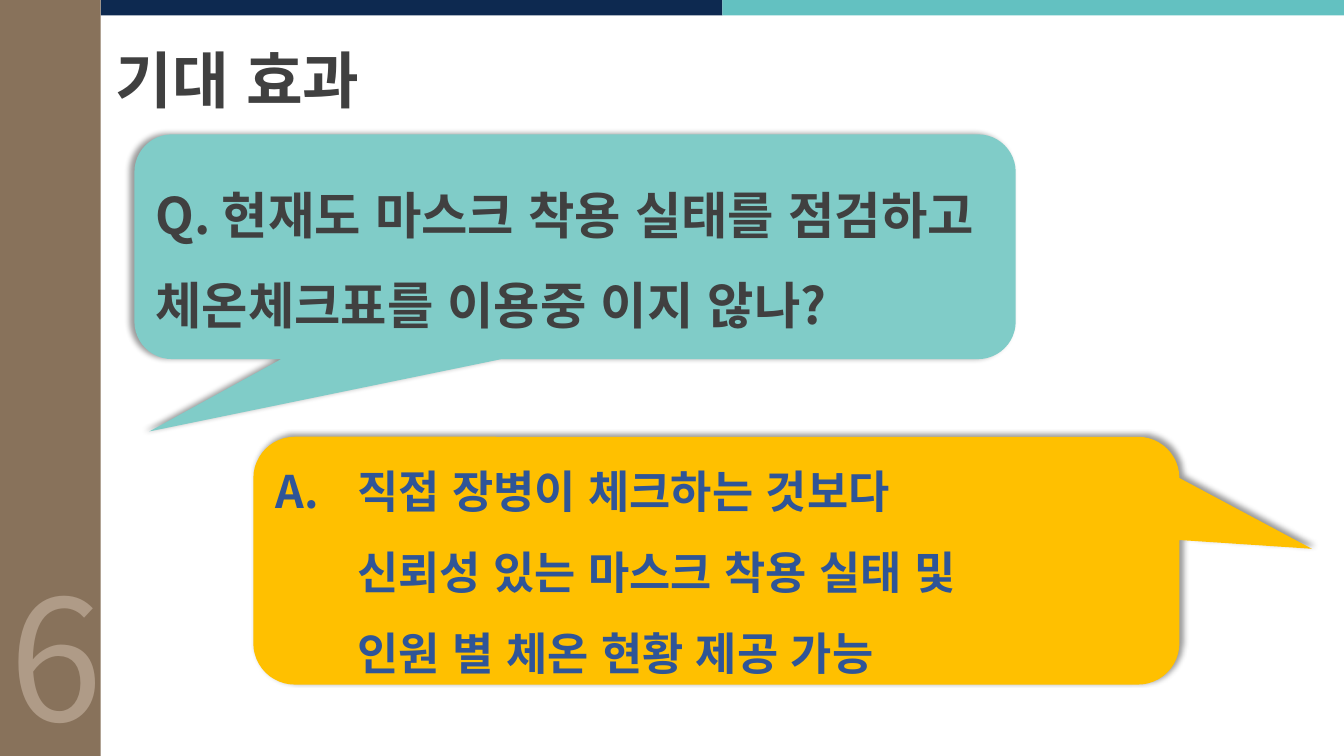
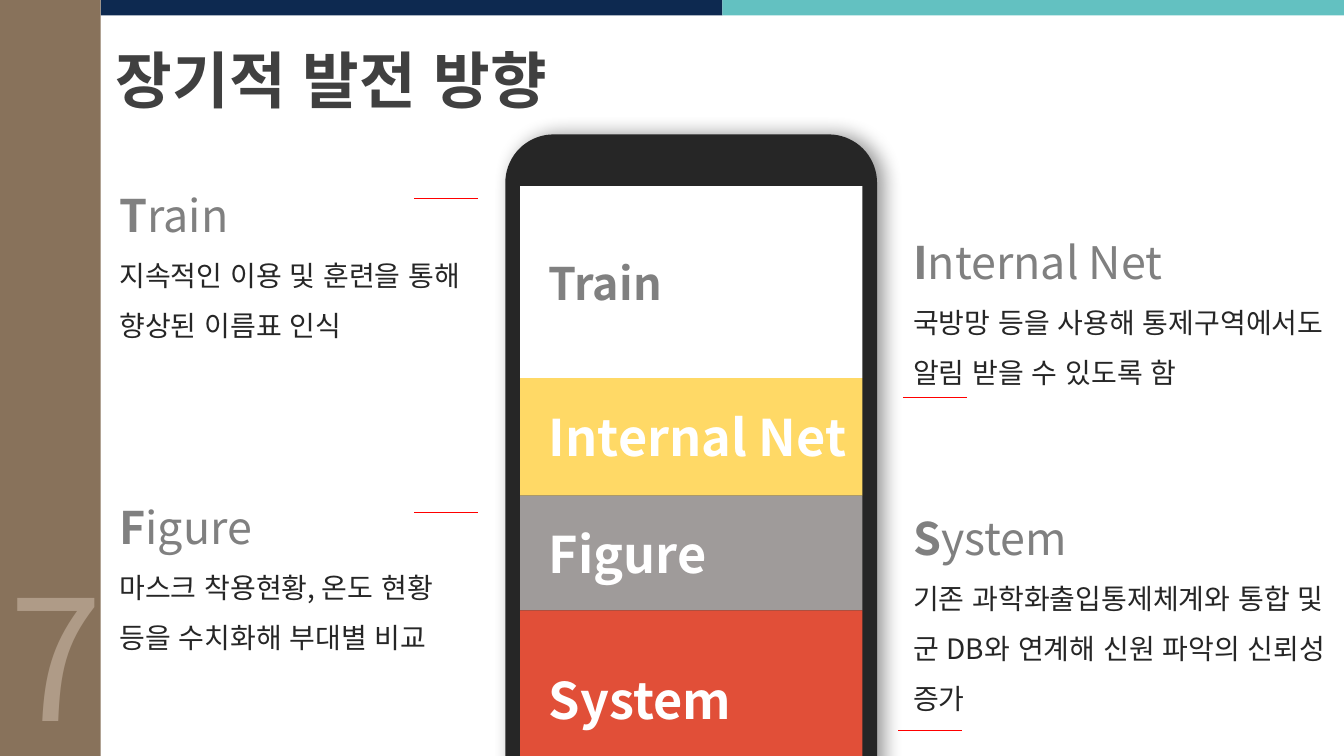
import math
from dataclasses import dataclass
from typing import Optional

from lxml import etree
from pptx import Presentation
from pptx.dml.color import RGBColor
from pptx.enum import lang, shapes, text
from pptx.oxml import ns
from pptx.util import Pt


@dataclass(frozen=True)
class Theme:
    font: str = "Noto Sans CJK KR"
    rail: str = "88725B"
    rail_number: str = "AF9B87"
    navy: str = "0D2950"
    teal: str = "63C1C1"
    pale_teal: str = "80CCC8"
    amber: str = "FFC000"
    blue: str = "2F5597"
    title: str = "404040"
    dark: str = "262626"
    grey: str = "808080"
    white: str = "FFFFFF"
    yellow: str = "FFD966"
    warm_grey: str = "9F9B9A"
    brick: str = "E14F38"
    red: str = "FF0000"
    number_size: int = 120
    title_size: int = 44
    question_size: int = 36
    heading_size: int = 32
    body_size: int = 20
    line_spacing: float = 1.5


THEME = Theme()
SLIDE_WIDTH, SLIDE_HEIGHT = 960, 540
RAIL_WIDTH = 72
TITLE_ONLY, COMPARISON = 5, 4


@dataclass(frozen=True)
class Box:
    left: float
    top: float
    width: float
    height: float

    def lengths(self) -> tuple:
        return Pt(self.left), Pt(self.top), Pt(self.width), Pt(self.height)


@dataclass(frozen=True)
class Style:
    size: int
    color: str
    bold: bool = False


@dataclass(frozen=True)
class Shadow:
    blur: float
    distance: float
    angle: int


@dataclass(frozen=True)
class Callout:
    box: Box
    fill: str
    adjustments: tuple
    shadow: Shadow
    lines: tuple
    style: Style
    hanging: float = 0


@dataclass(frozen=True)
class Panel:
    label: str
    top: float
    bottom: float
    fill: str
    style: Style


@dataclass(frozen=True)
class Note:
    heading: str
    body: str
    box: Box


@dataclass(frozen=True)
class Rule:
    left: float
    top: float


WHITE_LABEL = Style(36, THEME.white, True)

CALLOUTS = (
    Callout(Box(181, 312, 661.5, 177), THEME.amber, (0.643, -0.048, 0.167),
            Shadow(4, 3, 315),
            ("직접 장병이 체크하는 것보다", "신뢰성 있는 마스크 착용 실태 및",
             "인원 별 체온 현황 제공 가능"),
            Style(THEME.heading_size, THEME.blue, True), hanging=58.5),
    Callout(Box(96, 96, 629.5, 160.5), THEME.pale_teal, (-0.483, 0.822, 0.167),
            Shadow(4, 3, 180),
            ("Q. 현재도 마스크 착용 실태를 점검하고 체온체크표를 이용중 이지 않나?",),
            Style(THEME.question_size, THEME.title, True)),
)

PHONE = Box(361, 96, 265.5, 466.5)
PHONE_RADIUS = 34.5
PHONE_BEZEL = 10.5
PANELS = (
    Panel("Train", 133, 270, THEME.white,
          Style(THEME.heading_size, THEME.grey, True)),
    Panel("Internal Net", 270, 354, THEME.yellow, WHITE_LABEL),
    Panel("Figure", 354, 436, THEME.warm_grey, WHITE_LABEL),
    Panel("System", 436, 562.5, THEME.brick, WHITE_LABEL),
)
NOTES = (
    Note("Train", "지속적인 이용 및 훈련을 통해 향상된 이름표 인식",
         Box(78, 130.5, 263.5, 114)),
    Note("Internal Net", "국방망 등을 사용해 통제구역에서도 알림 받을 수 있도록 함",
         Box(645, 164, 314, 114)),
    Note("Figure", "마스크 착용현황, 온도 현황 등을 수치화해 부대별 비교",
         Box(78, 353.5, 272, 114)),
    Note("System", "기존 과학화출입통제체계와 통합 및 군 DB와 연계해 신원 파악의 신뢰성 증가",
         Box(645, 361, 314, 150.5)),
)
RULE_WIDTH = 45.5
RULES = (Rule(645, 283.5), Rule(641.5, 522), Rule(296, 366), Rule(296, 141.5))


def rgb(color: str) -> RGBColor:
    return RGBColor.from_string(color)


def add_run(paragraph, content: str, style: Style) -> None:
    run = paragraph.add_run()
    run.text = content
    font = run.font
    font.name, font.size, font.bold = THEME.font, Pt(style.size), style.bold
    font.color.rgb = rgb(style.color)
    font.language_id = lang.MSO_LANGUAGE_ID.KOREAN
    east_asian = etree.SubElement(run._r.get_or_add_rPr(), ns.qn("a:ea"))
    east_asian.set("typeface", THEME.font)


def format_paragraph(paragraph, spacing: float = 1, left: float = 0,
                     lettered: bool = False) -> None:
    """Set indent and line spacing; a lettered paragraph hangs by its indent."""
    properties = paragraph._p.get_or_add_pPr()
    properties.set("marL", str(Pt(left)))
    properties.set("indent", str(Pt(-left if lettered else 0)))
    if lettered:
        bullet_font = etree.SubElement(properties, ns.qn("a:buFont"))
        bullet_font.set("typeface", THEME.font)
        bullet = etree.SubElement(properties, ns.qn("a:buAutoNum"))
        bullet.set("type", "alphaUcPeriod")
    else:
        etree.SubElement(properties, ns.qn("a:buNone"))
    paragraph.alignment = text.PP_ALIGN.LEFT
    paragraph.line_spacing = spacing
    paragraph.space_before = Pt(0)


def prepare_frame(shape, anchor):
    frame = shape.text_frame
    frame.word_wrap = True
    frame.auto_size = text.MSO_AUTO_SIZE.NONE
    frame.vertical_anchor = anchor
    return frame


def place(shape, box: Box) -> None:
    shape.left, shape.top, shape.width, shape.height = box.lengths()


def paint(shape, fill: str) -> None:
    shape.shadow.inherit = False
    shape.fill.solid()
    shape.fill.fore_color.rgb = rgb(fill)
    shape.line.fill.background()


def add_block(slide, box: Box, fill: str,
              kind=shapes.MSO_SHAPE.RECTANGLE):
    shape = slide.shapes.add_shape(kind, *box.lengths())
    paint(shape, fill)
    return shape


def cast_shadow(shape, shadow: Shadow) -> None:
    effects = shape._element.spPr.find(ns.qn("a:effectLst"))
    outer = etree.SubElement(effects, ns.qn("a:outerShdw"))
    outer.set("blurRad", str(Pt(shadow.blur)))
    outer.set("dist", str(Pt(shadow.distance)))
    outer.set("dir", str(shadow.angle * 60000))
    outer.set("algn", "ctr")
    outer.set("rotWithShape", "0")
    color = etree.SubElement(outer, ns.qn("a:srgbClr"))
    color.set("val", "000000")
    etree.SubElement(color, ns.qn("a:alpha")).set("val", "40000")


def add_base_slide(presentation, layout: int, number: int, title: str):
    """Add a slide with the numbered rail, the top bands and the title."""
    slide = presentation.slides.add_slide(presentation.slide_layouts[layout])
    rail = add_block(slide, Box(0, -6, RAIL_WIDTH, 549), THEME.rail)
    paragraph = prepare_frame(rail, text.MSO_ANCHOR.BOTTOM).paragraphs[0]
    paragraph.alignment = text.PP_ALIGN.RIGHT
    add_run(paragraph, str(number), Style(THEME.number_size, THEME.rail_number))

    band_width = (SLIDE_WIDTH - RAIL_WIDTH) / 2
    for index, color in enumerate((THEME.navy, THEME.teal)):
        add_block(slide, Box(RAIL_WIDTH + index * band_width, 0, band_width, 11),
                  color)

    place(slide.shapes.title, Box(75.5, 0, 432, 79))
    frame = prepare_frame(slide.shapes.title, text.MSO_ANCHOR.TOP)
    format_paragraph(frame.paragraphs[0], THEME.line_spacing)
    add_run(frame.paragraphs[0], title, Style(THEME.title_size, THEME.title, True))
    return slide


def add_callout(slide, callout: Callout) -> None:
    shape = add_block(slide, callout.box, callout.fill,
                      shapes.MSO_SHAPE.ROUNDED_RECTANGULAR_CALLOUT)
    for index, value in enumerate(callout.adjustments):
        shape.adjustments[index] = value
    cast_shadow(shape, callout.shadow)
    frame = prepare_frame(shape, text.MSO_ANCHOR.MIDDLE)
    frame.margin_top, frame.margin_bottom = Pt(0), Pt(3.6)
    paragraph = frame.paragraphs[0]
    format_paragraph(paragraph, THEME.line_spacing, callout.hanging,
                     lettered=callout.hanging > 0)
    for index, line in enumerate(callout.lines):
        if index:
            paragraph.add_line_break()
        add_run(paragraph, line, callout.style)


def add_phone(slide) -> None:
    """Draw the body with round top corners, then its screen panels."""
    right, bottom = PHONE.left + PHONE.width, PHONE.top + PHONE.height
    corners = ((PHONE.left + PHONE_RADIUS, 180), (right - PHONE_RADIUS, 270))
    arc = [(center + PHONE_RADIUS * math.cos(math.radians(start + step)),
            PHONE.top + PHONE_RADIUS * (1 + math.sin(math.radians(start + step))))
           for center, start in corners for step in range(0, 91, 5)]
    builder = slide.shapes.build_freeform(Pt(PHONE.left), Pt(bottom))
    builder.add_line_segments([(Pt(x), Pt(y)) for x, y in arc + [(right, bottom)]])
    body = builder.convert_to_shape()
    paint(body, THEME.dark)
    cast_shadow(body, Shadow(14, 5, 0))

    for panel in PANELS:
        box = Box(PHONE.left + PHONE_BEZEL, panel.top,
                  PHONE.width - 2 * PHONE_BEZEL, panel.bottom - panel.top)
        shape = add_block(slide, box, panel.fill)
        paragraph = prepare_frame(shape, text.MSO_ANCHOR.MIDDLE).paragraphs[0]
        format_paragraph(paragraph, left=13.5)
        add_run(paragraph, panel.label, panel.style)


def fill_note(placeholder, note: Note) -> None:
    place(placeholder, note.box)
    frame = prepare_frame(placeholder, text.MSO_ANCHOR.TOP)
    heading, body = frame.paragraphs[0], frame.add_paragraph()
    format_paragraph(heading)
    for content, bold in ((note.heading[0], True), (note.heading[1:], False)):
        add_run(heading, content, Style(THEME.heading_size, THEME.grey, bold))
    format_paragraph(body, THEME.line_spacing)
    add_run(body, note.body, Style(THEME.body_size, THEME.dark))


def add_rule(slide, rule: Rule) -> None:
    line = slide.shapes.add_connector(
        shapes.MSO_CONNECTOR.STRAIGHT, Pt(rule.left), Pt(rule.top),
        Pt(rule.left + RULE_WIDTH), Pt(rule.top))
    line.line.color.rgb = rgb(THEME.red)
    line.line.width = Pt(0.5)
    etree.SubElement(line._element.spPr, ns.qn("a:effectLst"))


def main() -> None:
    presentation = Presentation()
    presentation.slide_width = Pt(SLIDE_WIDTH)
    presentation.slide_height = Pt(SLIDE_HEIGHT)

    effects = add_base_slide(presentation, TITLE_ONLY, 6, "기대 효과")
    for callout in CALLOUTS:
        add_callout(effects, callout)

    roadmap = add_base_slide(presentation, COMPARISON, 7, "장기적 발전 방향")
    add_phone(roadmap)
    for index, note in enumerate(NOTES, start=1):
        fill_note(roadmap.placeholders[index], note)
    for rule in RULES:
        add_rule(roadmap, rule)
    presentation.save("out.pptx")


if __name__ == "__main__":
    main()
